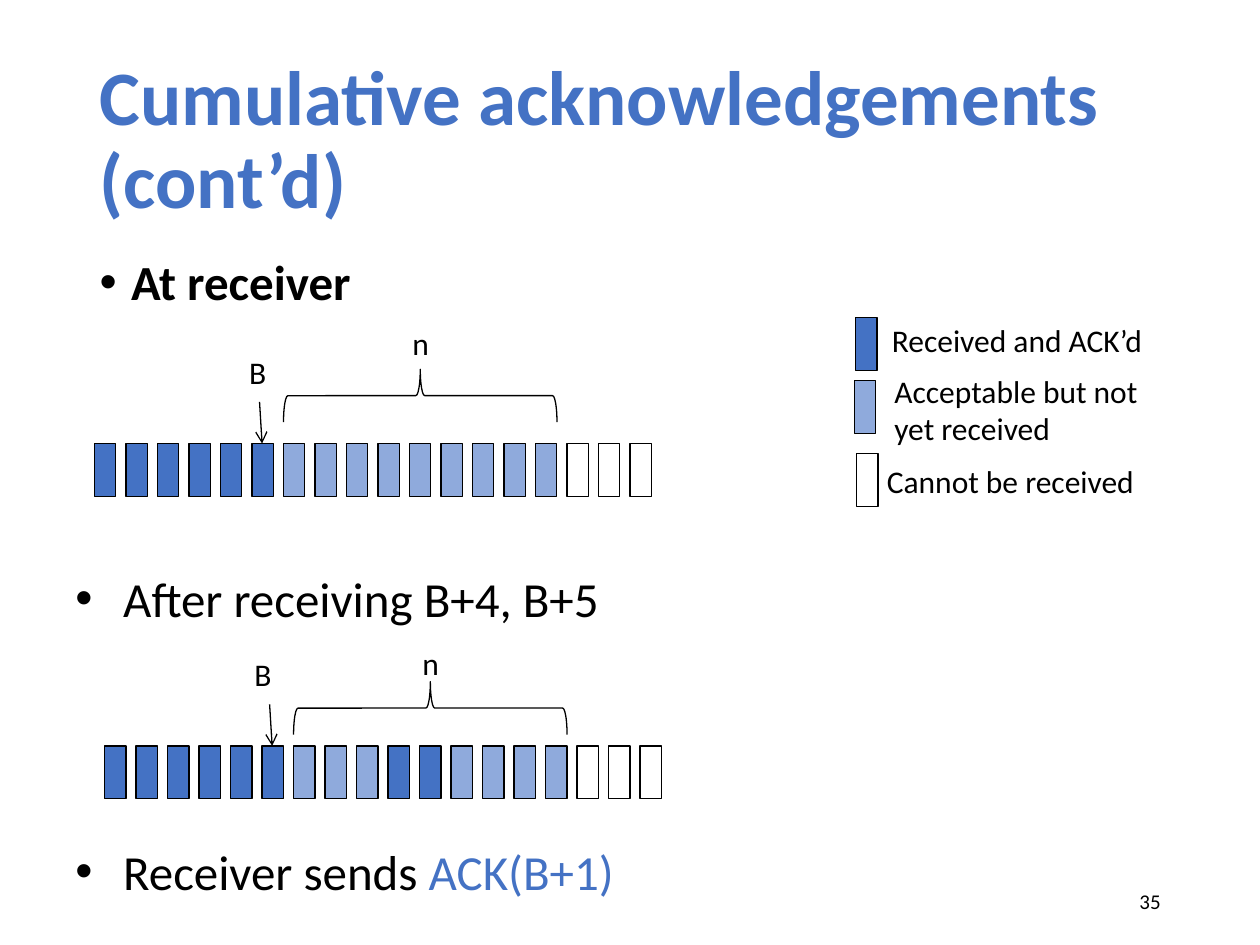
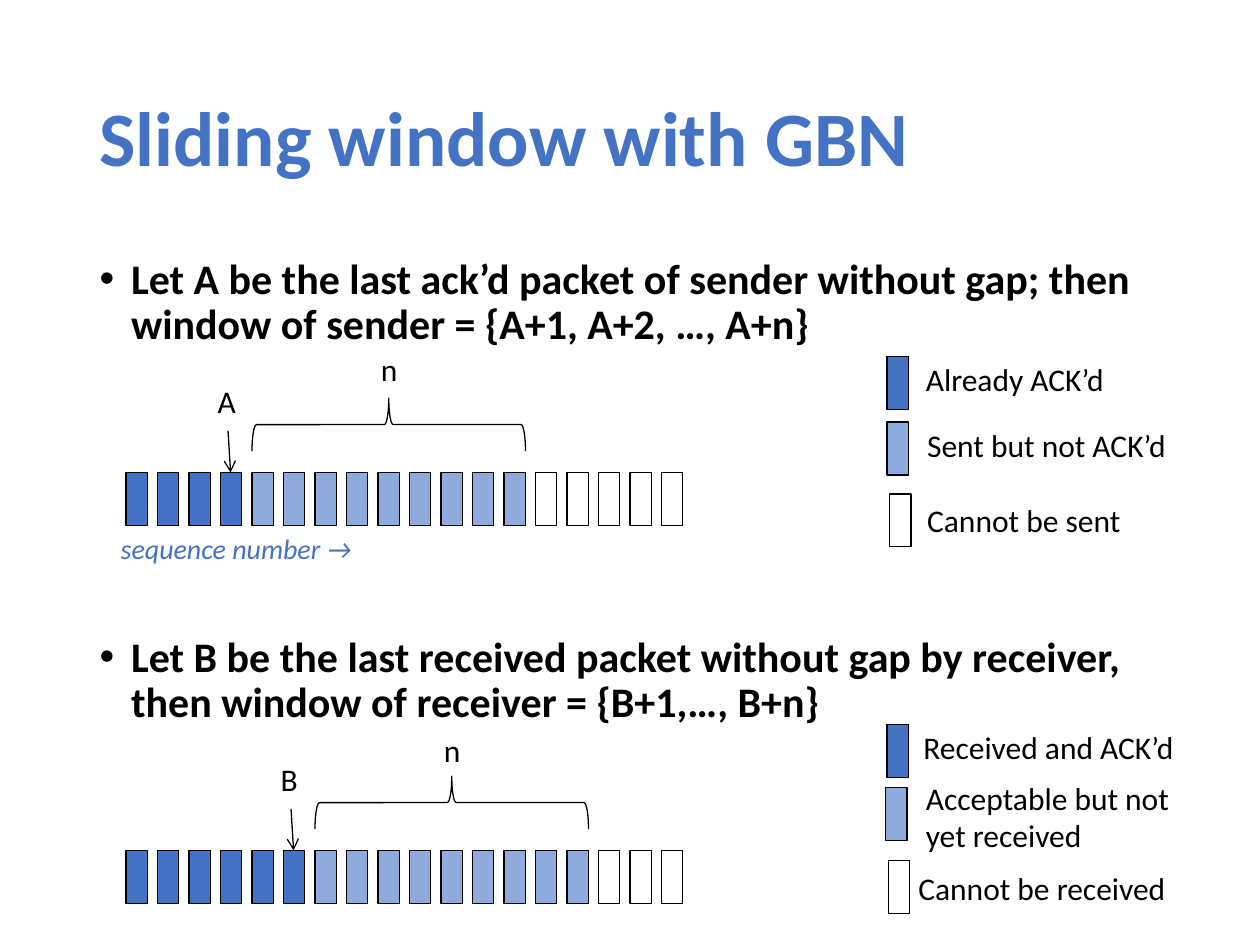
"""Build two slides on sliding windows and cumulative acknowledgements."""
from lxml import etree
from pptx import Presentation
from pptx import util as u
from pptx.dml.color import RGBColor
from pptx.enum import shapes, text
from pptx.oxml import ns

PX = 9144
FONT = "Calibri"
HUES = {"blue": "4472C4", "pale": "8FAADC", "white": "FFFFFF", "black": "000000"}
KINDS = {"A": "blue", "w": "pale", "x": "white"}
CELL_W, CELL_H, PITCH = 17, 42, 25
TITLE, BODY = (69, 40, 862, 145), (69, 200, 862, 476)

RECEIVER = [
    ("A", (0, 0), (19, -2, 252, 40), "Received and ACK’d"),
    ("w", (-1, 50), (21, 38, 231, 71), "Acceptable but not\vyet received"),
    ("x", (1, 108), (15, 110, 239, 40), "Cannot be received"),
]
SENDER = [
    ("A", (0, 0), (21, -2, 184, 40), "Already ACK’d"),
    ("w", (0, 52), (22, 50, 234, 40), "Sent but not ACK’d"),
    ("x", (2, 109), (22, 110, 191, 40), "Cannot be sent"),
]

SLIDES = [
    {
        "title": "Cumulative acknowledgements (cont’d)",
        "body": ["At receiver"], "size": 28, "gap": 0,
        "rows": [
            {"at": (75, 352), "cells": "AAAAAAwwwwwwwwwxxx", "last": "B",
             "mark": -12, "brace": 38, "count": 100},
            {"at": (83, 592), "cells": "AAAAAAwwwAAwwwwxxx", "last": "B",
             "mark": -16, "brace": 30, "count": 86},
        ],
        "keys": [((679, 252), RECEIVER)],
        "points": [
            (446, [("After receiving B+4, B+5", "black")]),
            (663, [("Receiver sends ", "black"), ("ACK(B+1)", "blue")]),
        ],
        "number": "35",
    },
    {
        "title": "Sliding window with GBN",
        "body": [
            "Let A be the last ack’d packet of sender without gap; "
            "then window of sender = {A+1, A+2, …, A+n}",
            "Let B be the last received packet without gap by receiver, "
            "then window of receiver = {B+1,…, B+n}",
        ],
        "size": 24, "gap": 164,
        "rows": [
            {"at": (100, 375), "cells": "AAAAwwwwwwwwwxxxxx", "last": "A",
             "mark": -12, "brace": 38, "count": 102},
            {"at": (100, 675), "cells": "AAAAAAwwwwwwwwwxxx", "last": "B",
             "mark": -12, "brace": 38, "count": 100},
        ],
        "keys": [((704, 283), SENDER), ((704, 575), RECEIVER)],
        "note": "sequence number →",
    },
]


def hue(name):
    return RGBColor.from_string(HUES[name])


def emu(*vals):
    return [u.Emu(round(v * PX)) for v in vals]


def style(par, size, color="black", bold=False, italic=False):
    for run in par.runs:
        font = run.font
        font.name, font.size = FONT, u.Pt(size)
        font.bold, font.italic = bold, italic
        font.color.rgb = hue(color)


def bullet(par, indent):
    props = par._p.get_or_add_pPr()
    props.set("marL", str(indent * PX))
    props.set("indent", str(-indent * PX))
    etree.SubElement(props, ns.qn("a:buFont")).set("typeface", "Arial")
    etree.SubElement(props, ns.qn("a:buChar")).set("char", "•")


def label(slide, at, words, size=18, **look):
    frame = slide.shapes.add_textbox(*emu(*at)).text_frame
    frame.word_wrap = True
    frame.text = words
    style(frame.paragraphs[0], size, **look)
    return frame


def outline(shape):
    shape.line.color.rgb = hue("black")
    shape.line.width = u.Pt(0.75)


def preset(slide, kind, *at):
    shape = slide.shapes.add_shape(kind, *emu(*at))
    shape.shadow.inherit = False
    shape.fill.background()
    outline(shape)
    return shape


def cell(slide, kind, x, y):
    box = preset(slide, shapes.MSO_SHAPE.RECTANGLE, x, y, CELL_W, CELL_H)
    box.fill.solid()
    box.fill.fore_color.rgb = hue(KINDS[kind])


def arrow(slide, *ends):
    line = slide.shapes.add_connector(shapes.MSO_CONNECTOR.STRAIGHT, *emu(*ends))
    outline(line)
    etree.SubElement(line.line._get_or_add_ln(), ns.qn("a:tailEnd")).set("type", "arrow")
    etree.SubElement(line._element.spPr, ns.qn("a:effectLst"))


def window(slide, row):
    (x, y), cells = row["at"], row["cells"]
    for i, kind in enumerate(cells):
        cell(slide, kind, x + i * PITCH, y)
    first, last = cells.index("w"), cells.rindex("w")
    left = x + first * PITCH
    span = (last - first) * PITCH + CELL_W
    mid = left + span / 2
    brace = preset(slide, shapes.MSO_SHAPE.LEFT_BRACE, mid - CELL_H / 2,
                   y - row["brace"] - span / 2, CELL_H, span)
    brace.rotation = 90
    label(slide, (mid - 16, y - row["count"], 37, 44), "n")
    edge = left - PITCH
    label(slide, (edge + row["mark"], y - 77, 37, 44), row["last"])
    arrow(slide, edge + 6, y - 33, edge + 8, y)


def legend(slide, start, items):
    x, y = start
    for kind, (dx, dy), (tx, ty, w, h), words in items:
        cell(slide, kind, x + dx, y + dy)
        label(slide, (x + tx, y + ty, w, h), words)


def holder(shape, at, words, anchor):
    shape.left, shape.top, shape.width, shape.height = emu(*at)
    frame = shape.text_frame
    frame.text = words
    frame.auto_size = text.MSO_AUTO_SIZE.NONE
    frame.vertical_anchor = anchor
    for par in frame.paragraphs:
        par.alignment = text.PP_ALIGN.LEFT
        par.line_spacing = 0.9
        par.space_before = u.Pt(0)
    return frame.paragraphs


def point(slide, top, parts):
    frame = label(slide, (50, top, 900, 62), parts[0][0], 28)
    par = frame.paragraphs[0]
    bullet(par, 38)
    for words, _ in parts[1:]:
        par.add_run().text = words
    style(par, 28)
    for run, (_, color) in zip(par.runs, parts):
        run.font.color.rgb = hue(color)


def build(deck, data):
    slide = deck.slides.add_slide(deck.slide_layouts[1])
    head = holder(slide.shapes.title, TITLE, data["title"], text.MSO_ANCHOR.MIDDLE)
    style(head[0], 44, "blue", bold=True)
    pars = holder(slide.placeholders[1], BODY, "\n".join(data["body"]), text.MSO_ANCHOR.TOP)
    for i, par in enumerate(pars):
        bullet(par, 25)
        par.space_before = u.Pt(data["gap"] if i else 0)
        style(par, data["size"], bold=True)
    for row in data["rows"]:
        window(slide, row)
    for start, items in data["keys"]:
        legend(slide, start, items)
    for top, parts in data.get("points", []):
        point(slide, top, parts)
    if "number" in data:
        frame = label(slide, (706, 695, 225, 40), data["number"], 12)
        frame.vertical_anchor = text.MSO_ANCHOR.MIDDLE
        frame.paragraphs[0].alignment = text.PP_ALIGN.RIGHT
    if "note" in data:
        label(slide, (86, 417, 289, 37), data["note"], 16, color="blue", italic=True)


def main():
    deck = Presentation()
    deck.slide_width, deck.slide_height = emu(1000, 750)
    for data in SLIDES:
        build(deck, data)
    deck.save("out.pptx")


if __name__ == "__main__":
    main()
